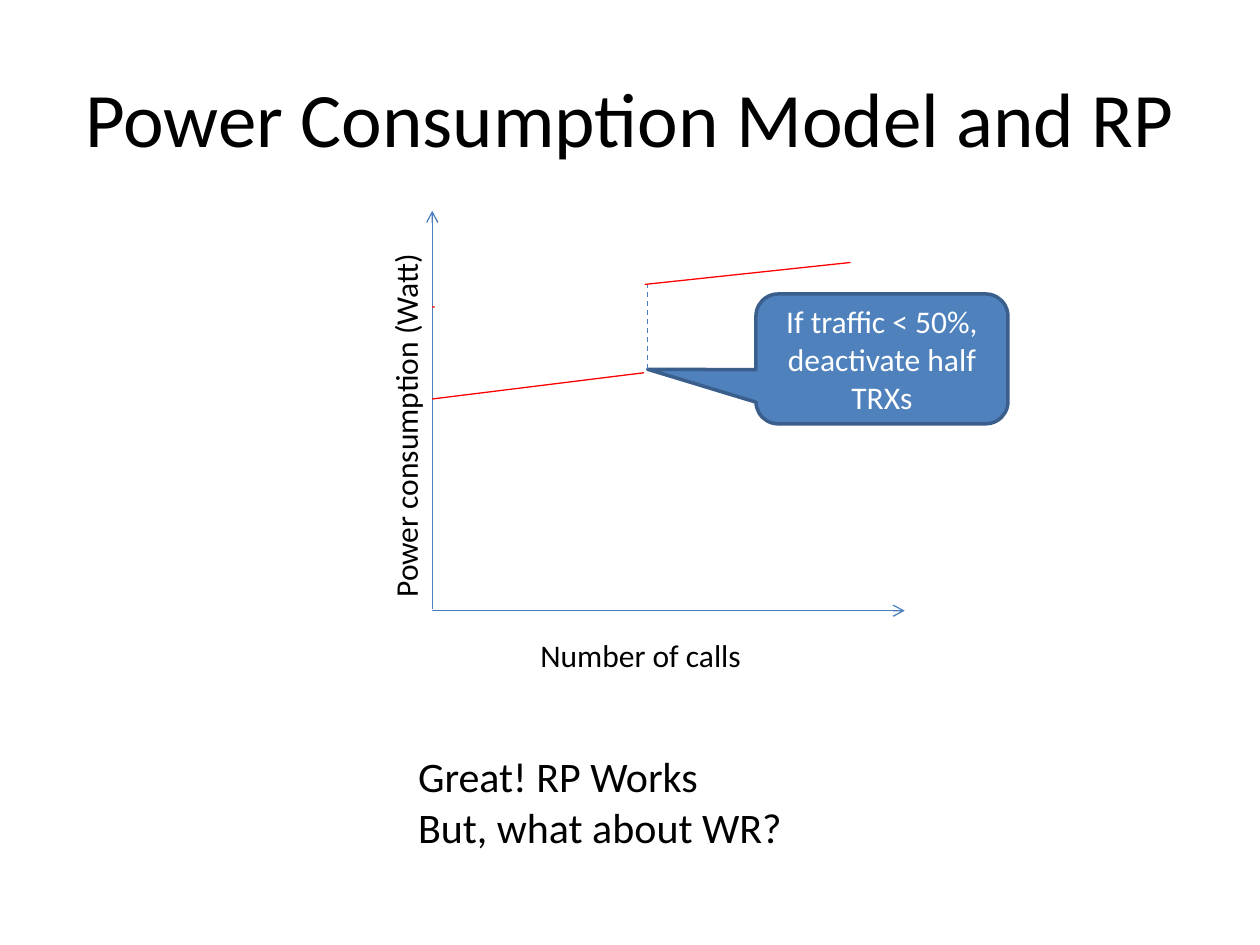
from lxml.etree import SubElement
from pptx import Presentation
from pptx.dml.color import RGBColor
from pptx.enum.dml import MSO_LINE
from pptx.enum.shapes import MSO_CONNECTOR, MSO_SHAPE
from pptx.enum.text import MSO_ANCHOR, MSO_AUTO_SIZE, PP_ALIGN
from pptx.oxml.ns import qn
from pptx.util import Pt

BLACK = RGBColor(0x00, 0x00, 0x00)
WHITE = RGBColor(0xFF, 0xFF, 0xFF)
RED = RGBColor(0xFF, 0x00, 0x00)
AXIS_BLUE = RGBColor(0x4B, 0x7E, 0xBC)
CALLOUT_BLUE = RGBColor(0x4F, 0x81, 0xBD)
CALLOUT_EDGE = RGBColor(0x3A, 0x5F, 0x8C)


def add_line(page, start, end, color):
    line = page.shapes.add_connector(
        MSO_CONNECTOR.STRAIGHT, *[Pt(value) for value in (*start, *end)])
    line.line.color.rgb = color
    line.line.width = Pt(0.75)
    SubElement(line._element.spPr, qn("a:effectLst"))
    return line


def write(shape, lines, size, color, align=PP_ALIGN.LEFT):
    frame = shape.text_frame
    frame.text = "\n".join(lines)
    for para in frame.paragraphs:
        para.alignment = align
        para.font.name = "Calibri"
        para.font.size = Pt(size)
        para.font.color.rgb = color


deck = Presentation()
deck.slide_width, deck.slide_height = Pt(720), Pt(540)
page = deck.slides.add_slide(deck.slide_layouts[5])

title = page.shapes.title
title.left, title.top, title.width, title.height = Pt(36), Pt(21.6), Pt(648), Pt(90)
title.text_frame.vertical_anchor = MSO_ANCHOR.MIDDLE
write(title, ["Power Consumption Model and RP"], 44, BLACK, PP_ALIGN.CENTER)

# Axes
for start, end in [((247, 348), (247, 120.5)), ((247, 349), (517, 349))]:
    axis = add_line(page, start, end, AXIS_BLUE)
    SubElement(axis.line._get_or_add_ln(), qn("a:tailEnd"), type="arrow")

for label, left, top, width, turn in [
    ("Power consumption (Watt)", 125.3, 227.5, 213, 270),
    ("Number of calls", 301.7, 360, 130.3, 0),
]:
    box = page.shapes.add_textbox(Pt(left), Pt(top), Pt(width), Pt(29))
    box.rotation = turn
    box.fill.solid()
    box.fill.fore_color.rgb = WHITE
    box.text_frame.word_wrap = False
    box.text_frame.auto_size = MSO_AUTO_SIZE.SHAPE_TO_FIT_TEXT
    write(box, [label], 18, BLACK)

# Power with all TRXs on, then with half of them
add_line(page, (247, 175.5), (486, 150), RED)
add_line(page, (247, 228), (368, 213), RED)

callout = page.shapes.add_shape(
    MSO_SHAPE.ROUNDED_RECTANGULAR_CALLOUT, Pt(432), Pt(168), Pt(144), Pt(74.2))
callout.shadow.inherit = False
callout.adjustments[0] = -0.93
callout.adjustments[1] = 0.08
callout.adjustments[2] = 0.17
callout.fill.solid()
callout.fill.fore_color.rgb = CALLOUT_BLUE
callout.line.color.rgb = CALLOUT_EDGE
callout.line.width = Pt(2)
callout.text_frame.vertical_anchor = MSO_ANCHOR.MIDDLE
write(callout, ["If traffic < 50%,", "deactivate half TRXs"], 18, WHITE,
      PP_ALIGN.CENTER)

threshold = add_line(page, (370, 211), (370, 163), AXIS_BLUE)
threshold.line.dash_style = MSO_LINE.DASH

# White cover over the upper line below the threshold
cover = page.shapes.add_shape(
    MSO_SHAPE.RECTANGLE, Pt(248.4), Pt(150), Pt(120), Pt(36.7))
cover.shadow.inherit = False
cover.fill.solid()
cover.fill.fore_color.rgb = WHITE
cover.line.fill.background()

remark = page.shapes.add_textbox(Pt(231.8), Pt(425.5), Pt(246.2), Pt(65.5))
remark.text_frame.word_wrap = True
remark.text_frame.auto_size = MSO_AUTO_SIZE.SHAPE_TO_FIT_TEXT
write(remark, ["Great! RP Works", "But, what about WR?"], 24, BLACK)

deck.save("out.pptx")
